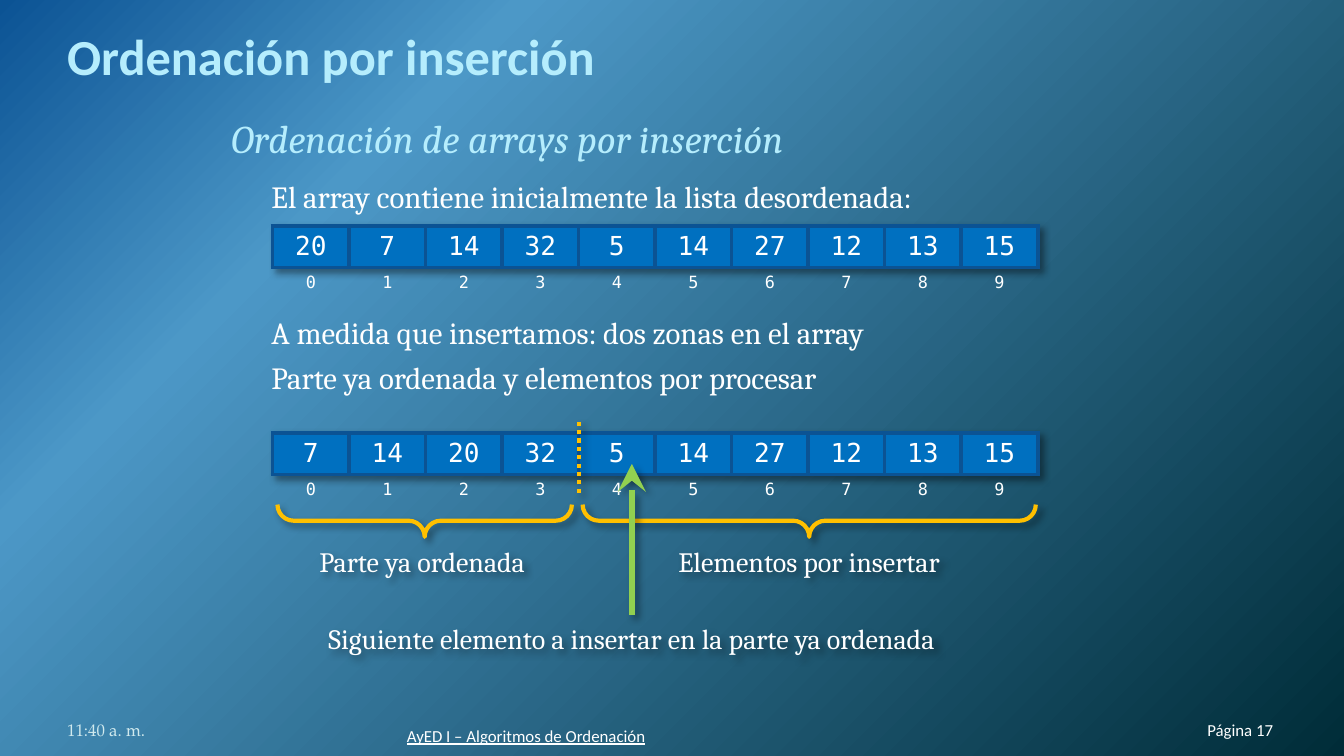
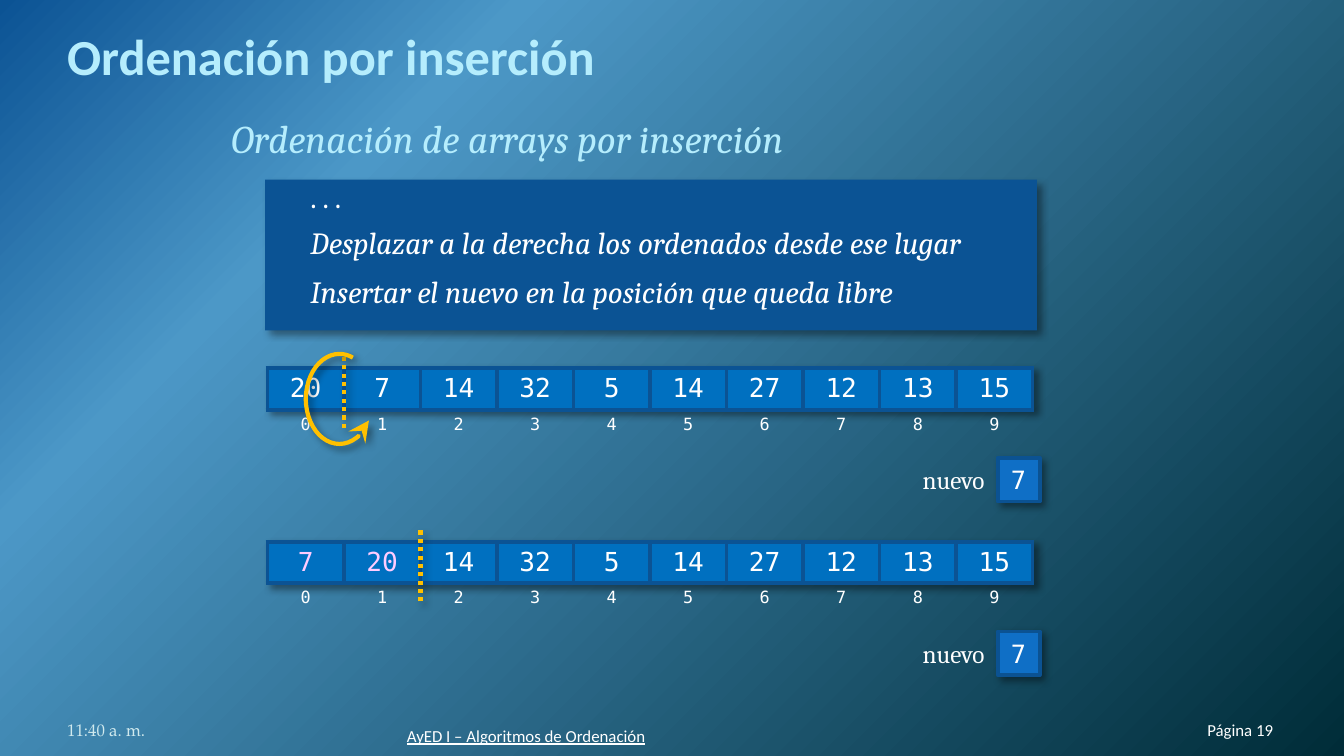
from pptx import Presentation
from pptx.dml.color import RGBColor
from pptx.enum import dml, shapes, text
from pptx.oxml import parse_xml
from pptx.oxml.ns import nsdecls, qn
from pptx.util import Pt

NAVY = RGBColor(0x0B, 0x53, 0x94)
SKY = RGBColor(0x4C, 0x98, 0xC7)
DEEP_TEAL = RGBColor(0x00, 0x2C, 0x38)
CELL_BLUE = RGBColor(0x00, 0x70, 0xC0)
BOX_BLUE = RGBColor(0x0F, 0x6F, 0xC6)
BOX_EDGE = RGBColor(0x0B, 0x52, 0x92)
PALE_CYAN = RGBColor(0xB5, 0xED, 0xFD)
PALE_GREY = RGBColor(0xD1, 0xEA, 0xEE)
WHITE = RGBColor(0xFF, 0xFF, 0xFF)
PINK = RGBColor(0xFF, 0xCC, 0xFF)
AMBER = RGBColor(0xFF, 0xC0, 0x00)
GREEN = RGBColor(0x92, 0xD0, 0x50)
SANS, SERIF, MONO, CLOCK = "Calibri", "Cambria", "DejaVu Sans Mono", "TeX Gyre Pagella"
LEFT, CENTER, RIGHT = text.PP_ALIGN.LEFT, text.PP_ALIGN.CENTER, text.PP_ALIGN.RIGHT
TOP, BOTTOM = text.MSO_ANCHOR.TOP, text.MSO_ANCHOR.BOTTOM
COLUMN, VALUE_ROW, INDEX_ROW = 41, 21.75, 17.5
NO_STYLE = "{2D5ABB26-0587-4C30-8999-92F81FD0307C}"
ARROWHEAD = f'<a:tailEnd {nsdecls("a")} type="stealth" w="lg" len="lg"/>'


def cast_shadow(properties):
    """Add the soft diagonal shadow to shape or table properties."""
    place = 0 if properties.tag == qn("a:tblPr") else len(properties)
    properties.insert(place, parse_xml(
        f'<a:effectLst {nsdecls("a")}><a:outerShdw blurRad="{Pt(4)}" dist="{Pt(3)}" '
        'dir="2700000" algn="tl" rotWithShape="0"><a:srgbClr val="000000">'
        '<a:alpha val="40000"/></a:srgbClr></a:outerShdw></a:effectLst>'))


def write(frame, words, size, font, color=WHITE, align=LEFT, anchor=TOP, margins=None):
    """Fill a text frame or table cell with one paragraph and return its run's font."""
    frame.vertical_anchor = anchor
    if margins:
        frame.margin_left, frame.margin_top, frame.margin_right, frame.margin_bottom = map(Pt, margins)
    body = getattr(frame, "text_frame", frame)
    body.text = words
    paragraph = body.paragraphs[0]
    paragraph.alignment = align
    run_font = paragraph.runs[0].font
    run_font.size, run_font.name, run_font.color.rgb = Pt(size), font, color
    return run_font


prs = Presentation()
prs.slide_width, prs.slide_height = Pt(720), Pt(405)
zones, shifting = [prs.slides.add_slide(prs.slide_layouts[6]) for _ in range(2)]

panel = shifting.shapes.add_shape(shapes.MSO_SHAPE.RECTANGLE, Pt(142), Pt(96.25), Pt(413.5), Pt(80.75))
panel.fill.solid()
panel.fill.fore_color.rgb = NAVY
panel.line.fill.background()
cast_shadow(panel.element.spPr)

# Body lines: words, italic, indent, space before
zone_lines = [
    ("El array contiene inicialmente la lista desordenada:", False, 21.6, 0),
    ("A medida que insertamos: dos zonas en el array", False, 21.6, 48.5),
    ("Parte ya ordenada y elementos por procesar", False, 21.6, 0),
]
shifting_lines = [
    (". . .", False, 42.5, 0),
    ("Desplazar a la derecha los ordenados desde ese lugar", True, 42.5, 0),
    ("Insertar el nuevo en la posición que queda libre", True, 42.5, 2.2),
]

for slide, page, lines in [(zones, 17, zone_lines), (shifting, 19, shifting_lines)]:
    slide.background.fill.gradient()
    gradient = next(slide.element.iter(qn("a:gradFill")))
    stops = "".join(f'<a:gs pos="{place}000"><a:srgbClr val="{color}"/></a:gs>'
                    for place, color in [(0, NAVY), (25, SKY), (100, DEEP_TEAL)])
    gradient.getparent().replace(gradient, parse_xml(
        f'<a:gradFill {nsdecls("a")} rotWithShape="1"><a:gsLst>{stops}</a:gsLst>'
        '<a:path path="circle"><a:fillToRect r="100000" b="100000"/></a:path></a:gradFill>'))

    title = slide.shapes.add_textbox(Pt(36), Pt(16.5), Pt(648), Pt(29.5)).text_frame
    title.word_wrap = True
    write(title, "Ordenación por inserción", 27, SANS, PALE_CYAN,
          anchor=BOTTOM, margins=(0, 3.6, 0, 0)).bold = True

    body = slide.shapes.add_textbox(Pt(116.75), Pt(57.6), Pt(494), Pt(301.5)).text_frame
    body.word_wrap = True
    write(body, "Ordenación de arrays por inserción", 21, SERIF, PALE_CYAN).italic = True
    body.paragraphs[0].space_after = Pt(9)
    for words, italic, indent, before in lines:
        line = body.add_paragraph()
        line.text = words
        line.level = 1
        properties = line._p.get_or_add_pPr()
        properties.set("marL", str(Pt(indent)))
        properties.set("indent", "0")
        line.space_before, line.space_after = Pt(before), Pt(4.5)
        font = line.runs[0].font
        font.size, font.name, font.italic, font.color.rgb = Pt(16.5), SERIF, italic, WHITE

    for words, left, top, width, font, color, align in [
        (f"Página {page}", 611.5, 375, 70.5, SANS, WHITE, RIGHT),
        ("11:40 a. m.", 36, 375, 168, CLOCK, PALE_GREY, LEFT),
        ("AyED I – Algoritmos de Ordenación", 218, 378, 272, SANS, WHITE, LEFT),
    ]:
        footer = slide.shapes.add_textbox(Pt(left), Pt(top), Pt(width), Pt(21.6)).text_frame
        footer.word_wrap = True
        footer_font = write(footer, words, 9, font, color, align, BOTTOM, (0, 0, 0, 0))
        footer_font.underline = words.startswith("AyED")

# Arrays: slide, left, top, values, sorted cells before the divider, highlighted cells
unsorted = [20, 7, 14, 32, 5, 14, 27, 12, 13, 15]
arrays = [
    (zones, 146, 121, unsorted, 0, 0),
    (zones, 146, 232, sorted(unsorted[:4]) + unsorted[4:], 4, 0),
    (shifting, 143.25, 197.25, unsorted, 1, 0),
    (shifting, 143.25, 290.25, sorted(unsorted[:2]) + unsorted[2:], 2, 2),
]
for slide, left, top, values, ordered, highlighted in arrays:
    table = slide.shapes.add_table(2, len(values), Pt(left), Pt(top), Pt(COLUMN * len(values)),
                                   Pt(VALUE_ROW + INDEX_ROW)).table
    table.first_row = table.horz_banding = False
    table_properties = table._tbl.tblPr
    table_properties.find(qn("a:tableStyleId")).text = NO_STYLE
    cast_shadow(table_properties)
    table.rows[0].height, table.rows[1].height = Pt(VALUE_ROW), Pt(INDEX_ROW)
    for index, value in enumerate(values):
        table.columns[index].width = Pt(COLUMN)
        value_color = PINK if index < highlighted else WHITE
        for row, (words, size, color, edges) in enumerate([(value, 14, value_color, "LRTB"),
                                                           (index, 9, WHITE, "T")]):
            cell = table.cell(row, index)
            write(cell, str(words), size, MONO, color, CENTER, margins=(5.4, 2.7, 5.4, 2.7))
            if row == 0:
                cell.fill.solid()
                cell.fill.fore_color.rgb = CELL_BLUE
            else:
                cell.fill.background()
            for place, edge in enumerate("LRTB"):
                paint = (f'<a:solidFill><a:srgbClr val="{NAVY}"/></a:solidFill>'
                         if edge in edges else "<a:noFill/>")
                cell._tc.get_or_add_tcPr().insert(place, parse_xml(
                    f'<a:ln{edge} {nsdecls("a")} w="{Pt(2.25)}">{paint}</a:ln{edge}>'))

    if ordered:
        divider_x = Pt(left + COLUMN * ordered)
        divider = slide.shapes.add_connector(shapes.MSO_CONNECTOR.STRAIGHT, divider_x, Pt(top + 32),
                                             divider_x, Pt(top - 6.75))
        divider.line.color.rgb = AMBER
        divider.line.width = Pt(2.25)
        divider.line.dash_style = dml.MSO_LINE.ROUND_DOT
        cast_shadow(divider.element.spPr)

    if slide is shifting:
        new_value = slide.shapes.add_shape(shapes.MSO_SHAPE.RECTANGLE, Pt(534.5), Pt(top + 48),
                                           Pt(22.5), Pt(23.5))
        new_value.fill.solid()
        new_value.fill.fore_color.rgb = BOX_BLUE
        new_value.line.color.rgb = BOX_EDGE
        new_value.line.width = Pt(2)
        cast_shadow(new_value.element.spPr)
        new_label = slide.shapes.add_textbox(Pt(484.5), Pt(top + 48), Pt(50), Pt(23.5))
        for part, words, font, align in [(new_value, "7", MONO, LEFT), (new_label, "nuevo", SERIF, RIGHT)]:
            part.text_frame.word_wrap = False
            part.text_frame.auto_size = text.MSO_AUTO_SIZE.SHAPE_TO_FIT_TEXT
            write(part.text_frame, words, 13.5, font, align=align)

# Braces under the sorted and pending zones, turned to point down
for center, span in [(227.5, 157.75), (433.5, 242.75)]:
    brace = zones.shapes.add_shape(shapes.MSO_SHAPE.RIGHT_BRACE, Pt(center - 8.65),
                                   Pt(279 - span / 2), Pt(17.3), Pt(span))
    brace.rotation = 90
    brace.adjustments[0], brace.adjustments[1] = 0.5, 0.5
    brace.fill.background()
    brace.line.color.rgb = AMBER
    brace.line.width = Pt(2.25)
    cast_shadow(brace.element.spPr)

for words, left, top, width, align in [
    ("Parte ya ordenada", 164, 288, 132.5, LEFT),
    ("Elementos por insertar", 351.5, 288, 164, CENTER),
    ("Siguiente elemento a insertar en la parte ya ordenada", 158.5, 329.5, 360, CENTER),
]:
    caption = zones.shapes.add_textbox(Pt(left), Pt(top), Pt(width), Pt(25.25))
    caption.text_frame.word_wrap = False
    caption.text_frame.auto_size = text.MSO_AUTO_SIZE.SHAPE_TO_FIT_TEXT
    write(caption.text_frame, words, 15, SERIF, align=align)
    cast_shadow(caption.element.spPr)

next_arrow = zones.shapes.add_connector(shapes.MSO_CONNECTOR.STRAIGHT, Pt(338.5), Pt(329.5),
                                        Pt(338.5), Pt(248.5))
next_arrow.begin_connect(caption, 0)
next_arrow.line.color.rgb = GREEN
next_arrow.line.width = Pt(3)

shift_arc = shifting.shapes.add_shape(shapes.MSO_SHAPE.ARC, Pt(157.75), Pt(195.75), Pt(48.25), Pt(36))
shift_arc.rotation = 270
shift_arc.element.spPr.find(qn("a:xfrm")).set("flipH", "1")
# Arc angles are stored in 60000ths of a degree
for place, degrees in enumerate([162, 53.78]):
    shift_arc.adjustments[place] = degrees * 0.6
shift_arc.fill.background()
shift_arc.line.color.rgb = AMBER
shift_arc.line.width = Pt(2.25)

for arrow in (next_arrow, shift_arc):
    arrow.element.spPr.find(qn("a:ln")).append(parse_xml(ARROWHEAD))
    cast_shadow(arrow.element.spPr)

prs.save("out.pptx")
